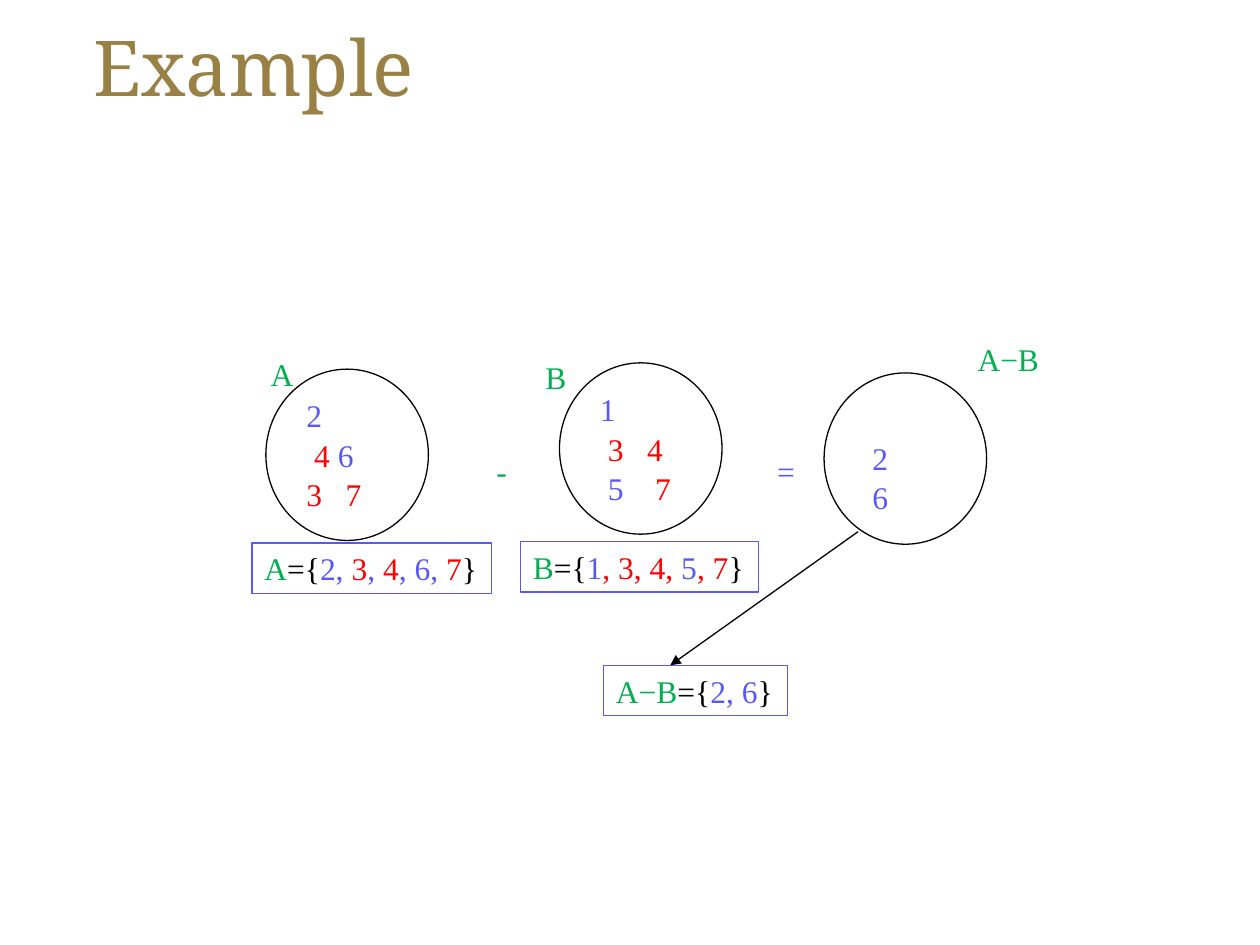
from dataclasses import dataclass

from lxml import etree
from pptx import Presentation
from pptx.dml.color import RGBColor
from pptx.enum import shapes, text
from pptx.oxml import ns
from pptx.util import Inches, Pt

COLORS = {
    "title": "998146",
    "name": "00B050",    # set names
    "only": "5658FC",    # members of one set only
    "shared": "FF0000",  # members of both sets
    "ink": "000000",
    "paper": "FFFFFF",
}
BODY_FONT = "Times New Roman"
SPACE = 0.0625  # width of one space at 18 pt, in inches
CIRCLE_SIZE = (1.29, 1.36)

Run = tuple[str, str]  # wording, colour key


@dataclass
class Label:
    left: float
    top: float
    width: float
    run: Run


@dataclass
class Listing:
    left: float
    top: float
    width: float
    runs: list[Run]


@dataclass
class Row:
    stops: list[int]  # tab stops, counted in spaces
    runs: list[Run]


@dataclass
class Circle:
    left: float
    top: float
    rows: list[Row]
    top_inset: float = 0.04


LABELS = [
    Label(2.05, 2.77, 0.38, ("A", "name")),
    Label(4.23, 2.79, 0.37, ("B", "name")),
    Label(3.84, 3.54, 0.29, ("-", "name")),
    Label(6.07, 3.54, 0.48, ("=", "only")),
    Label(7.66, 2.65, 0.69, ("A−B", "name")),
]
LISTINGS = [
    Listing(2, 4.31, 1.9, [
        ("A", "name"), ("={", "ink"), ("2, ", "only"), ("3", "shared"), (", ", "only"),
        ("4", "shared"), (", 6, ", "only"), ("7", "shared"), ("}", "ink")]),
    Listing(4.13, 4.3, 1.89, [
        ("B", "name"), ("={", "ink"), ("1", "only"), (", 3, 4, ", "shared"),
        ("5", "only"), (", 7", "shared"), ("}", "ink")]),
    Listing(4.79, 5.28, 1.46, [
        ("A−B", "name"), ("={", "ink"), ("2, 6", "only"), ("}", "ink")]),
]
CIRCLES = [
    Circle(2.11, 2.93, [
        Row([1], [("\t2", "only")]),
        Row([2], [("\t4", "shared"), (" 6", "only")]),
        Row([1, 6], [("\t3\t7", "shared")])]),
    Circle(4.44, 2.88, [
        Row([1], [("\t1", "only")]),
        Row([2, 7], [("\t3\t4", "shared")]),
        Row([2, 8], [("\t5", "only"), ("\t7", "shared")])]),
    Circle(6.54, 2.96, [
        Row([2], [("\t2", "only")]),
        Row([2], [("\t6", "only")])], top_inset=0.34),
]


def rgb(key: str) -> RGBColor:
    return RGBColor.from_string(COLORS[key])


def add_run(paragraph, run: Run, size: float = 18, font: str = BODY_FONT) -> None:
    piece = paragraph.add_run()
    piece.text, color = run
    piece.font.size = Pt(size)
    piece.font.name = font
    piece.font.color.rgb = rgb(color)


def set_tabs(paragraph, stops: list[int]) -> None:
    tabs = etree.SubElement(paragraph._p.get_or_add_pPr(), ns.qn("a:tabLst"))
    for stop in stops:
        etree.SubElement(tabs, ns.qn("a:tab"), pos=str(Inches(stop * SPACE)), algn="l")


def add_outline(slide, kind, left: float, top: float, width: float, height: float,
                line: str):
    outline = slide.shapes.add_shape(
        kind, Inches(left), Inches(top), Inches(width), Inches(height))
    outline.shadow.inherit = False
    outline.line.color.rgb = rgb(line)
    outline.line.width = Pt(0.75)
    outline.text_frame.vertical_anchor = text.MSO_ANCHOR.MIDDLE
    return outline


def draw_title(slide, wording: str) -> None:
    title = slide.shapes.title
    title.left, title.top = Inches(0.64), Inches(0.12)
    title.width, title.height = Inches(8.61), Inches(0.81)
    title.text_frame.vertical_anchor = text.MSO_ANCHOR.MIDDLE
    title.text_frame.auto_size = text.MSO_AUTO_SIZE.NONE
    paragraph = title.text_frame.paragraphs[0]
    paragraph.alignment = text.PP_ALIGN.LEFT
    add_run(paragraph, (wording, "title"), 44, "Noto Serif")


def draw_label(slide, label: Label) -> None:
    box = slide.shapes.add_textbox(
        Inches(label.left), Inches(label.top), Inches(label.width), Inches(0.4))
    box.text_frame.word_wrap = False
    add_run(box.text_frame.paragraphs[0], label.run)


def draw_listing(slide, listing: Listing) -> None:
    box = add_outline(slide, shapes.MSO_SHAPE.RECTANGLE, listing.left, listing.top,
                      listing.width, 0.4, "only")
    box.fill.background()
    box.text_frame.word_wrap = False
    paragraph = box.text_frame.paragraphs[0]
    paragraph.alignment = text.PP_ALIGN.LEFT
    for run in listing.runs:
        add_run(paragraph, run)


def draw_circle(slide, circle: Circle) -> None:
    outline = add_outline(slide, shapes.MSO_SHAPE.OVAL, circle.left, circle.top,
                          *CIRCLE_SIZE, "ink")
    outline.fill.solid()
    outline.fill.fore_color.rgb = rgb("paper")
    frame = outline.text_frame
    frame.margin_left = frame.margin_right = Inches(0.07)
    frame.margin_top, frame.margin_bottom = Inches(circle.top_inset), Inches(0.04)
    for index, row in enumerate(circle.rows):
        paragraph = frame.add_paragraph() if index else frame.paragraphs[0]
        paragraph.alignment = text.PP_ALIGN.LEFT
        paragraph.space_before = Pt(1)
        set_tabs(paragraph, row.stops)
        for run in row.runs:
            add_run(paragraph, run)


def draw_arrow(slide, start: tuple[float, float], end: tuple[float, float]) -> None:
    arrow = slide.shapes.add_connector(
        shapes.MSO_CONNECTOR.STRAIGHT, *map(Inches, start), *map(Inches, end))
    arrow.line.color.rgb = rgb("ink")
    arrow.line.width = Pt(0.75)
    etree.SubElement(arrow.line._get_or_add_ln(), ns.qn("a:tailEnd"), type="triangle")
    etree.SubElement(arrow._element.spPr, ns.qn("a:effectLst"))


def main() -> None:
    deck = Presentation()
    deck.slide_width, deck.slide_height = Inches(10), Inches(7.5)
    slide = deck.slides.add_slide(deck.slide_layouts.get_by_name("Title Only"))

    draw_title(slide, "Example")
    # Set names and operators
    for label in LABELS:
        draw_label(slide, label)
    # Sets written out
    for listing in LISTINGS:
        draw_listing(slide, listing)
    # From the difference circle to its listing
    draw_arrow(slide, (6.81, 4.22), (5.32, 5.28))
    # Venn circles with their members
    for circle in CIRCLES:
        draw_circle(slide, circle)

    deck.save("out.pptx")


if __name__ == "__main__":
    main()
